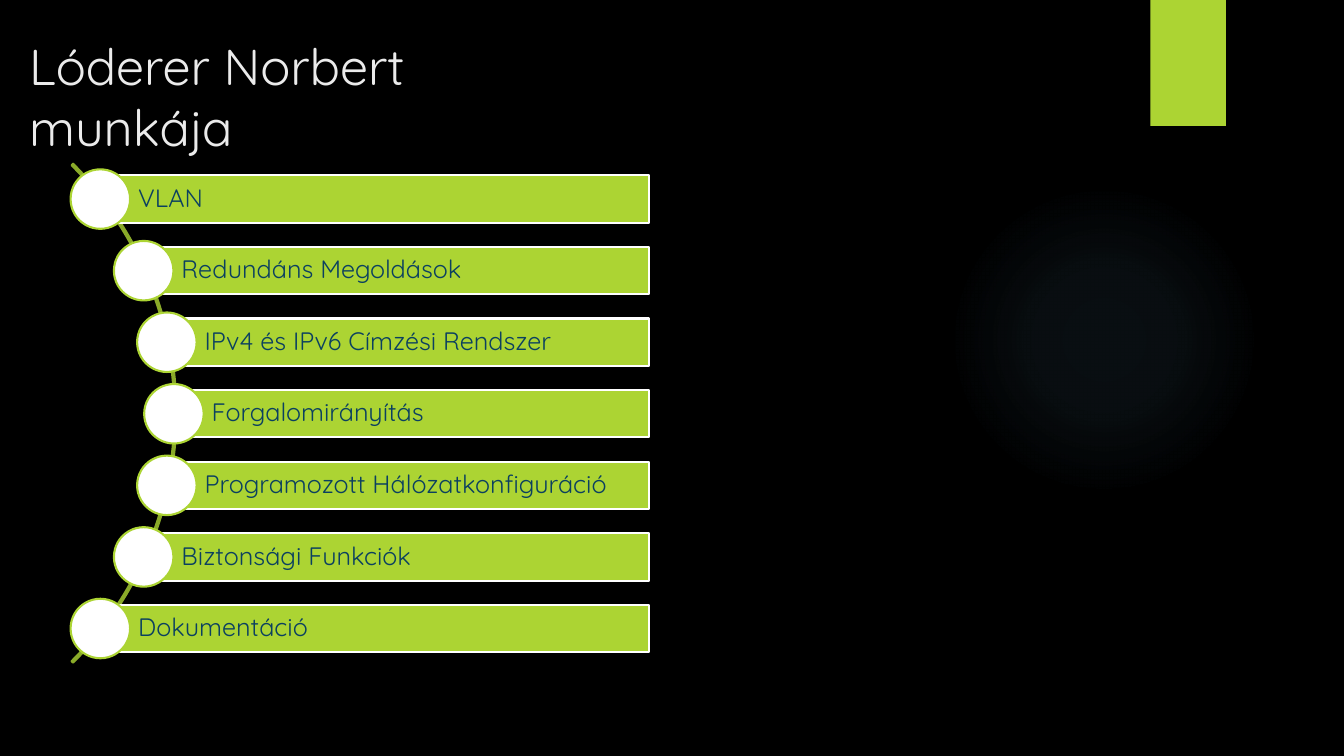
from math import sqrt

from lxml.etree import SubElement
from pptx import Presentation
from pptx.dml.color import RGBColor
from pptx.enum.shapes import MSO_SHAPE as Kind
from pptx.enum.text import MSO_ANCHOR as Anchor, PP_ALIGN as Align
from pptx.oxml.ns import qn
from pptx.util import Pt

PX = 9144
FONT = "Quicksand"
LIME, WHITE, NAVY = "ACD433", "FFFFFF", "0B4060"
MID_X, MID_Y, STEP = -175, 410, 71
RADIUS, RIGHT, BAR, DOT = 347, 644, 47, 59
TOPICS = [
    "VLAN",
    "Redundáns Megoldások",
    "IPv4 és IPv6 Címzési Rendszer",
    "Forgalomirányítás",
    "Programozott Hálózatkonfiguráció",
    "Biztonsági Funkciók",
    "Dokumentáció",
]


def color(code):
    """Turn a hex string into a colour."""
    return RGBColor.from_string(code)


def scale(*sizes):
    """Turn px into EMU."""
    return [round(size * PX) for size in sizes]


def add_form(slide, kind, box, fill=None, line=None):
    """Add a flat preset shape."""
    form = slide.shapes.add_shape(kind, *scale(*box))
    form.shadow.inherit = False
    if fill:
        form.fill.solid()
        form.fill.fore_color.rgb = color(fill)
    else:
        form.fill.background()
    if line:
        form.line.color.rgb = color(line)
        form.line.width = Pt(1.5)
    else:
        form.line.fill.background()
    return form


def set_text(form, text, size, code, anchor, insets):
    """Write one left-aligned paragraph into a shape."""
    frame = form.text_frame
    frame.word_wrap = True
    frame.vertical_anchor = anchor
    (frame.margin_left, frame.margin_top,
     frame.margin_right, frame.margin_bottom) = scale(*insets)
    para = frame.paragraphs[0]
    para.text = text
    para.alignment = Align.LEFT
    para.font.name = FONT
    para.font.size = Pt(size)
    para.font.color.rgb = color(code)
    return para


def add_glow(slide, box, code, stops):
    """Add a circle that fades out from its centre."""
    props = add_form(slide, Kind.OVAL, box)._element.spPr
    grad = SubElement(props, qn("a:gradFill"), rotWithShape="1")
    props.replace(props.find(qn("a:noFill")), grad)
    steps = SubElement(grad, qn("a:gsLst"))
    for place, alpha in stops:
        stop = SubElement(steps, qn("a:gs"), pos=str(place * 1000))
        tint = SubElement(stop, qn("a:srgbClr"), val=code)
        SubElement(tint, qn("a:alpha"), val=str(alpha * 1000))
    track = SubElement(grad, qn("a:path"), path="circle")
    SubElement(track, qn("a:fillToRect"), l="50000", t="50000", r="50000", b="50000")


def add_title(slide, text):
    """Add the slide heading."""
    box = slide.shapes.add_textbox(*scale(19, 28, 557, 132))
    set_text(box, text, 36, "EBEBEB", Anchor.BOTTOM, (10, 5, 10, 5))


def add_arc(slide):
    """Add the curve that the dots sit on."""
    arc = add_form(slide, Kind.BLOCK_ARC, (-525, 60, 700, 700), line="8AAA29")
    for i, value in enumerate((189, 27, 0.003)):
        arc.adjustments[i] = value


def add_topic(slide, text, rank):
    """Add a bar and its dot, rank steps below the middle."""
    drop = rank * STEP
    x = round(MID_X + sqrt(RADIUS ** 2 - drop ** 2))
    y = MID_Y + drop
    bar = add_form(slide, Kind.RECTANGLE, (x, y - BAR // 2, RIGHT - x, BAR), LIME, WHITE)
    para = set_text(bar, text, 18, NAVY, Anchor.MIDDLE, (38, 5, 5, 5))
    para.line_spacing = 0.9
    add_form(slide, Kind.OVAL, (x - DOT // 2, y - DOT // 2, DOT, DOT), WHITE, LIME)


def main():
    """Build and save the slide."""
    deck = Presentation()
    deck.slide_width, deck.slide_height = scale(1333, 750)
    slide = deck.slides.add_slide(deck.slide_layouts[6])
    back = slide.background.fill
    back.solid()
    back.fore_color.rgb = color("000000")
    add_glow(slide, (941, 183, 308, 308), "7AC4F0", [(0, 7), (36, 6), (69, 0)])
    add_form(slide, Kind.RECTANGLE, (1141, 0, 75, 125), LIME)
    add_title(slide, "Lóderer Norbert munkája")
    add_arc(slide)
    for i, text in enumerate(TOPICS):
        add_topic(slide, text, i - len(TOPICS) // 2)
    deck.save("out.pptx")


if __name__ == "__main__":
    main()
